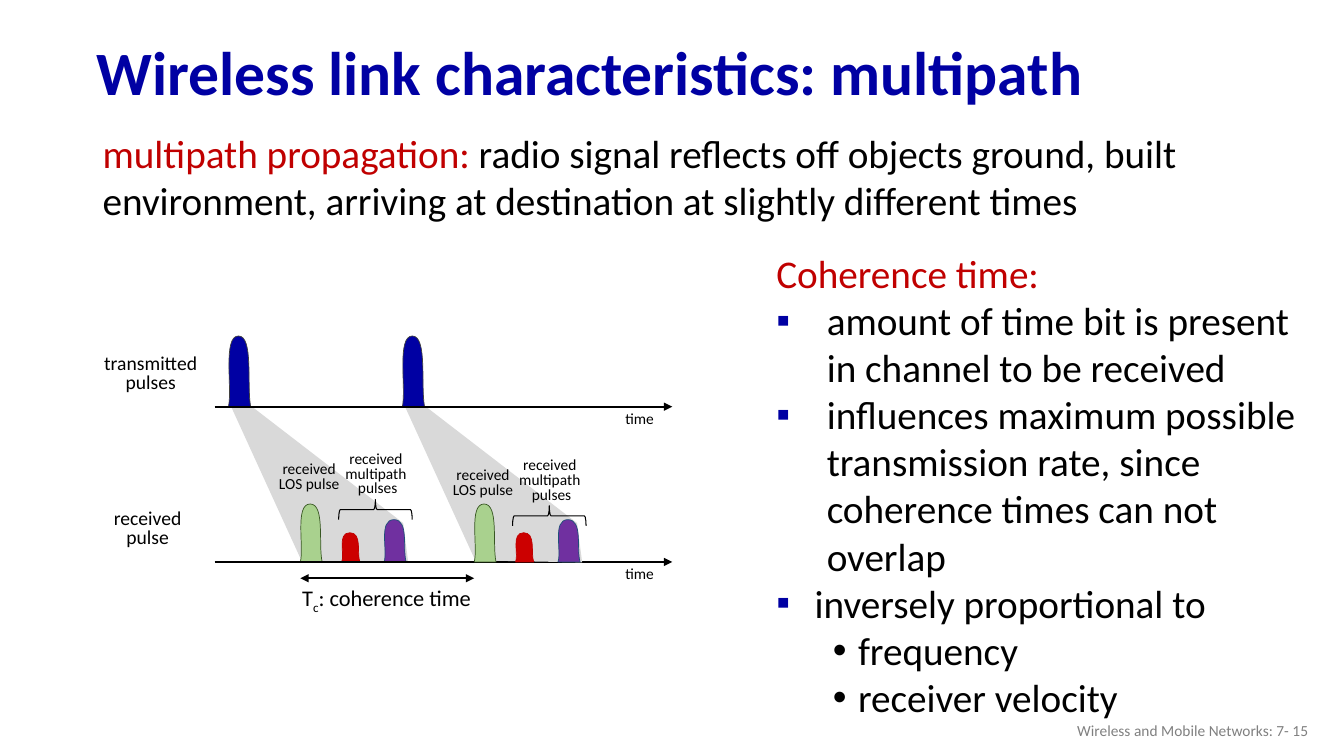
from dataclasses import dataclass

from lxml import etree
from pptx import Presentation
from pptx.dml.color import RGBColor
from pptx.enum.shapes import MSO_CONNECTOR, MSO_SHAPE
from pptx.enum.text import MSO_ANCHOR, MSO_AUTO_SIZE, PP_ALIGN
from pptx.oxml.ns import qn
from pptx.util import Inches, Pt

STRAIGHT = MSO_CONNECTOR.STRAIGHT
RIGHT_BRACE = MSO_SHAPE.RIGHT_BRACE
TOP, MIDDLE = MSO_ANCHOR.TOP, MSO_ANCHOR.MIDDLE
LEFT, CENTER, RIGHT = PP_ALIGN.LEFT, PP_ALIGN.CENTER, PP_ALIGN.RIGHT
GROW = MSO_AUTO_SIZE.SHAPE_TO_FIT_TEXT

NAVY = RGBColor(0x00, 0x00, 0xA3)
CRIMSON = RGBColor(0xC0, 0x00, 0x00)
BLACK = RGBColor(0x00, 0x00, 0x00)
GRAY = RGBColor(0x80, 0x80, 0x80)
CONE_GRAY = RGBColor(0xD9, 0xD9, 0xD9)
EDGE_GRAY = RGBColor(0x40, 0x40, 0x40)
GREEN = RGBColor(0xA9, 0xD1, 0x8E)
DARK_GREEN = RGBColor(0x38, 0x57, 0x23)
RED = RGBColor(0xCC, 0x00, 0x00)
PURPLE = RGBColor(0x70, 0x30, 0xA0)
DARK_BLUE = RGBColor(0x1F, 0x4E, 0x79)

FONT = "Calibri"
COLS, ROWS = 160, 90
SLIDE_W, SLIDE_H = Inches(40 / 3), Inches(7.5)

AXIS_X = (25.56, 80.04)
SENT_Y, RECEIVED_Y = 48.42, 66.9
PERIOD = 20.7  # columns between successive pulses
LABEL_DROP = 0.75  # the second set of labels sits slightly lower


@dataclass(frozen=True)
class Box:
    x: float
    y: float
    w: float
    h: float


@dataclass(frozen=True)
class Pulse:
    x: float
    w: float
    h: float
    fill: RGBColor
    edge: RGBColor


@dataclass(frozen=True)
class Label:
    box: Box
    text: str
    size: int


@dataclass(frozen=True)
class Para:
    runs: tuple[tuple[str, RGBColor], ...]
    margin: float = 0
    indent: float = 0
    bullet: str = ""
    bullet_color: RGBColor = BLACK
    level: int = 0


SENT = Pulse(27.2, 2.64, 8.42, NAVY, EDGE_GRAY)
ECHOES = (
    Pulse(35.76, 2.6, 6.9, GREEN, DARK_GREEN),
    Pulse(40.68, 2.16, 3.48, RED, CRIMSON),
    Pulse(45.72, 2.64, 5.04, PURPLE, DARK_BLUE),
)
# Pulse outline as shares of its width and height: anchors, then curve handles
BELL = ((0, 1), (0.45, 0), (1, 1), (0, 1))
BELL_HANDLES = (((0.18, 0.75), (-0.27, 0)), ((1.14, 0), (0.82, 0.7)))
CONE = ((35.88, 66.72), (27.6, 48.6), (30.24, 48.6), (48, 62.28), (48.6, 66.96))
ECHO_LABELS = (
    Label(Box(31.95, 54.48, 9.72, 4.8), "received\nLOS pulse", 11),
    Label(Box(39.9, 53.28, 9.72, 6.6), "received\nmultipath\n pulses", 11),
)
SIDE_LABELS = (
    Label(Box(11.1, 41.76, 13.68, 5.76), "transmitted\npulses", 14),
    Label(Box(12.3, 60.2, 10.56, 5.76), "received\npulse", 14),
)
INTRO = (Para((
    ("multipath propagation: ", CRIMSON),
    ("radio signal reflects off objects ground, built environment, "
     "arriving at destination at slightly different times", BLACK)), 0.45, level=1),)


def item(text: str, hang: float = 0.5) -> Para:
    return Para(((text, BLACK),), hang, -hang, "▪", NAVY)


def subitem(text: str) -> Para:
    return Para(((text, BLACK),), 0.81, -0.25, "•", BLACK, 1)


COHERENCE = (
    Para((("Coherence time:", CRIMSON),)),
    item("amount of time bit is present in channel to be received"),
    item("influences maximum possible transmission rate, since "
         "coherence times can not overlap"),
    item("inversely proportional to", 0.38),
    subitem("frequency"),
    subitem("receiver velocity"),
)


def gx(cols: float) -> int:
    return round(SLIDE_W * cols / COLS)


def gy(rows: float) -> int:
    return round(SLIDE_H * rows / ROWS)


def style_run(r, size: int, color: RGBColor, bold: bool = False) -> None:
    r.font.name, r.font.size, r.font.bold = FONT, Pt(size), bold
    r.font.color.rgb = color


def add_box(slide, box: Box, wrap: bool = True, anchor=TOP):
    sp = slide.shapes.add_textbox(gx(box.x), gy(box.y), gx(box.w), gy(box.h))
    tf = sp.text_frame
    tf.word_wrap, tf.vertical_anchor = wrap, anchor
    if not wrap:
        tf.auto_size = GROW
    return tf


def add_text(slide, box: Box, text: str, size: int, color: RGBColor = BLACK,
             align=CENTER, spacing: float = 0.8, wrap: bool = False,
             anchor=TOP, bold: bool = False) -> None:
    tf = add_box(slide, box, wrap, anchor)
    tf.text = text
    for p in tf.paragraphs:
        p.alignment, p.line_spacing = align, spacing
        for r in p.runs:
            style_run(r, size, color, bold)


def add_paragraphs(slide, box: Box, paras: tuple[Para, ...], size: int) -> None:
    tf = add_box(slide, box)
    for i, para in enumerate(paras):
        p = tf.add_paragraph() if i else tf.paragraphs[0]
        p.level = para.level
        ppr = p._p.get_or_add_pPr()
        ppr.set("marL", str(Inches(para.margin)))
        ppr.set("indent", str(Inches(para.indent)))
        if para.bullet:
            clr = etree.SubElement(ppr, qn("a:buClr"))
            etree.SubElement(clr, qn("a:srgbClr"), val=str(para.bullet_color))
            etree.SubElement(ppr, qn("a:buFont"), typeface="Arial")
            etree.SubElement(ppr, qn("a:buChar"), char=para.bullet)
        for text, color in para.runs:
            r = p.add_run()
            r.text = text
            style_run(r, size, color)


def add_arrow(slide, x1: float, x2: float, y: float, width: float,
              ends: tuple[str, ...]) -> None:
    cx = slide.shapes.add_connector(STRAIGHT, gx(x1), gy(y), gx(x2), gy(y))
    cx.line.color.rgb, cx.line.width = BLACK, Pt(width)
    for end in ends:
        etree.SubElement(cx.line._get_or_add_ln(), qn(end), type="triangle")
    etree.SubElement(cx._element.spPr, qn("a:effectLst"))


def add_outline(slide, points, fill: RGBColor):
    (x0, y0), *rest = [(gx(x), gy(y)) for x, y in points]
    builder = slide.shapes.build_freeform(x0, y0)
    builder.add_line_segments(rest, close=True)
    sp = builder.convert_to_shape()
    sp.shadow.inherit = False
    sp.fill.solid()
    sp.fill.fore_color.rgb = fill
    sp.line.fill.background()
    return sp


def add_pulse(slide, pulse: Pulse, dx: float, base: float) -> None:
    points = [(pulse.x + dx + u * pulse.w, base + (v - 1) * pulse.h) for u, v in BELL]
    sp = add_outline(slide, points, pulse.fill)
    sp.line.color.rgb, sp.line.width = pulse.edge, Pt(0.5)
    # Bend the first two segments into Bézier curves
    segments = list(sp._element.iter(qn("a:lnTo")))
    for segment, handles in zip(segments, BELL_HANDLES):
        segment.tag = qn("a:cubicBezTo")
        for i, (u, v) in enumerate(handles):
            pt = etree.Element(qn("a:pt"), x=str(round(u * sp.width)),
                               y=str(round(v * sp.height)))
            segment.insert(i, pt)


def add_reception(slide, dx: float, dy: float) -> None:
    add_outline(slide, [(x + dx, y) for x, y in CONE], CONE_GRAY)
    for pulse in ECHOES:
        add_pulse(slide, pulse, dx, RECEIVED_Y)
    for label in ECHO_LABELS:
        b = label.box
        add_text(slide, Box(b.x + dx, b.y + dy, b.w, b.h), label.text, label.size)
    sp = slide.shapes.add_shape(RIGHT_BRACE, gx(43.5 + dx), gy(56.28 + dy),
                                gx(2.4), gy(8.76))
    sp.rotation, sp.shadow.inherit = 270, False
    sp.fill.background()
    sp.line.color.rgb, sp.line.width = BLACK, Pt(0.75)


def main() -> None:
    prs = Presentation()
    prs.slide_width, prs.slide_height = SLIDE_W, SLIDE_H
    slide = prs.slides.add_slide(prs.slide_layouts[6])

    # Title and text
    add_text(slide, Box(10.32, 3.12, 138, 11.76),
             "Wireless link characteristics: multipath", 44, NAVY, LEFT, 0.9,
             wrap=True, anchor=MIDDLE, bold=True)
    add_paragraphs(slide, Box(5.64, 14.8, 142.68, 18), INTRO, 28)
    add_paragraphs(slide, Box(91.25, 29.1, 65.16, 57.72), COHERENCE, 28)

    # Coherence time span
    start = ECHOES[0].x
    add_arrow(slide, start, start + PERIOD, 68.84, 1.25, ("a:headEnd", "a:tailEnd"))
    tf = add_box(slide, Box(34.8, 69, 22.68, 4.44), wrap=False)
    for text in ("T", "c", ": coherence time"):
        r = tf.paragraphs[0].add_run()
        r.text = text
        style_run(r, 16, BLACK)
    tf.paragraphs[0].runs[1].font._element.set("baseline", "-25000")

    # Pulse diagram
    for dx in (0, PERIOD):
        add_pulse(slide, SENT, dx, SENT_Y)
    for label in SIDE_LABELS:
        add_text(slide, label.box, label.text, label.size)
    add_reception(slide, 0, 0)
    for y in (SENT_Y, RECEIVED_Y):
        add_arrow(slide, *AXIS_X, y, 1.5, ("a:tailEnd",))
        add_text(slide, Box(73.2, y + 0.06, 5.88, 3), "time", 11)
    add_reception(slide, PERIOD, LABEL_DROP)

    # Footer
    add_text(slide, Box(120.96, 84.6, 36, 4.8), "Wireless and Mobile Networks: 7- 15",
             11, GRAY, RIGHT, 1, wrap=True, anchor=MIDDLE)
    prs.save("out.pptx")


if __name__ == "__main__":
    main()
